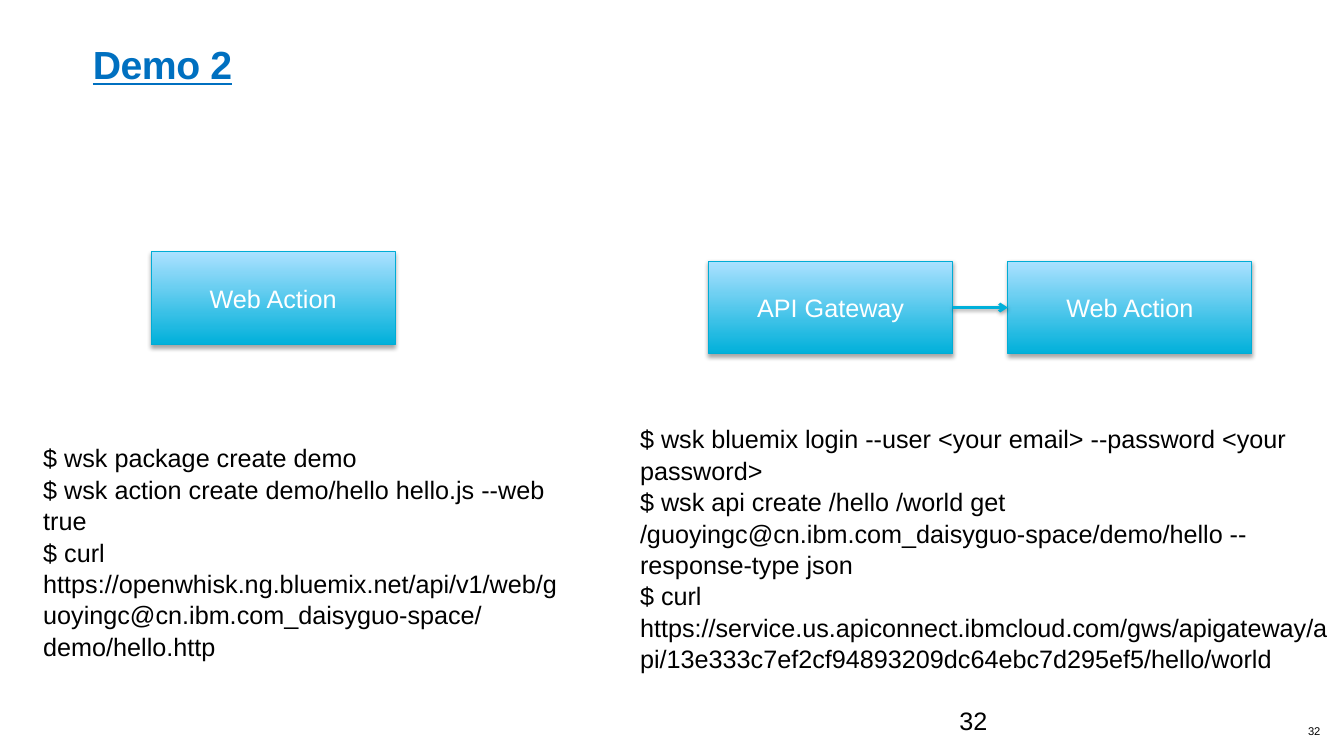
"""Build the Demo 2 slide: a web action alone and one behind an API gateway."""
from lxml.etree import SubElement
from pptx import Presentation
from pptx.dml.color import RGBColor
from pptx.enum.shapes import MSO_CONNECTOR, MSO_SHAPE
from pptx.enum.text import MSO_ANCHOR, PP_ALIGN
from pptx.oxml.ns import qn
from pptx.util import Cm, Pt

COLORS = {"title": "0070C0", "text": "000000", "label": "FFFFFF", "edge": "00ACD5",
          "deep": "00B0DA", "pale": "ABE1FF", "shade": "000000"}


def add_run(para, text, size=18, color="text"):
    run = para.add_run()
    run.text = text
    run.font.name = "Arial"
    run.font.size = Pt(size)
    run.font.color.rgb = RGBColor.from_string(COLORS[color])
    return run


def add_shade(shape, alpha, dist):
    props = shape._element.spPr
    for old in props.findall(qn("a:effectLst")):
        props.remove(old)
    effects = SubElement(props, qn("a:effectLst"))
    shade = SubElement(effects, qn("a:outerShdw"), blurRad=str(Pt(3.1)), dist=str(Pt(dist)),
                       dir="5400000", rotWithShape="0")
    tint = SubElement(shade, qn("a:srgbClr"), val=COLORS["shade"])
    SubElement(tint, qn("a:alpha"), val=str(alpha * 1000))


deck = Presentation()
deck.slide_width, deck.slide_height = Cm(33.87), Cm(19.05)
slide = deck.slides.add_slide(deck.slide_layouts[6])
shapes = slide.shapes

page = shapes.add_textbox(Cm(32.97), Cm(18.26), Cm(0.69), Cm(0.33)).text_frame
page.margin_left = page.margin_right = page.margin_top = page.margin_bottom = 0
page.vertical_anchor = MSO_ANCHOR.MIDDLE
page.word_wrap = True
run = add_run(page.paragraphs[0], "32", 8)
run.font._element.set("spc", "-30")

count = shapes.add_textbox(Cm(23.93), Cm(17.65), Cm(5.92), Cm(1.02)).text_frame
count.word_wrap = True
add_run(count.paragraphs[0], "32")

title = shapes.add_textbox(Cm(2.34), Cm(1.02), Cm(29.21), Cm(3.68)).text_frame
title.margin_left = title.margin_top = title.margin_bottom = 0
title.margin_right = Cm(2.29)
title.word_wrap = True
run = add_run(title.paragraphs[0], "Demo 2", 28, "title")
run.font.bold = run.font.underline = True
run.font._element.set("spc", "-30")

blocks = [
    (0.84, 11, 13.54, 4.11, [
        "$ wsk package create demo",
        "$ wsk action create demo/hello hello.js --web true",
        "$ curl https://openwhisk.ng.bluemix.net/api/v1/web/"
        "guoyingc@cn.ibm.com_daisyguo-space/demo/hello.http"]),
    (15.88, 10.52, 17.98, 6.4, [
        "$ wsk bluemix login --user <your email> --password <your password>",
        "$ wsk api create /hello /world get "
        "/guoyingc@cn.ibm.com_daisyguo-space/demo/hello --response-type json",
        "$ curl https://service.us.apiconnect.ibmcloud.com/gws/apigateway/api/"
        "13e333c7ef2cf94893209dc64ebc7d295ef5/hello/world"]),
]
for left, top, width, height, lines in blocks:
    frame = shapes.add_textbox(Cm(left), Cm(top), Cm(width), Cm(height)).text_frame
    frame.word_wrap = True
    for i, line in enumerate(lines):
        para = frame.add_paragraph() if i else frame.paragraphs[0]
        para.line_spacing = 1.04
        add_run(para, line)

boxes = []
for left, top, label in [(3.81, 6.35, "Web Action"), (17.86, 6.58, "API Gateway"),
                         (25.4, 6.58, "Web Action")]:
    box = shapes.add_shape(MSO_SHAPE.RECTANGLE, Cm(left), Cm(top), Cm(6.15), Cm(2.34))
    box.fill.gradient()
    box.fill.gradient_angle = 90
    for stop, color in zip(box.fill.gradient_stops, ("deep", "pale")):
        stop.color.rgb = RGBColor.from_string(COLORS[color])
    box.line.color.rgb = RGBColor.from_string(COLORS["edge"])
    box.line.width = Pt(0.75)
    add_shade(box, 35, 1.8)
    frame = box.text_frame
    frame.word_wrap = True
    frame.vertical_anchor = MSO_ANCHOR.MIDDLE
    frame.paragraphs[0].alignment = PP_ALIGN.CENTER
    add_run(frame.paragraphs[0], label, color="label")
    boxes.append(box)

arrow = shapes.add_connector(MSO_CONNECTOR.STRAIGHT, 0, 0, 0, 0)
arrow.begin_connect(boxes[1], 3)
arrow.end_connect(boxes[2], 1)
arrow.line.color.rgb = RGBColor.from_string(COLORS["deep"])
arrow.line.width = Pt(2)
SubElement(arrow.line._get_or_add_ln(), qn("a:tailEnd"), type="arrow")
add_shade(arrow, 38, 1.6)

deck.save("out.pptx")
